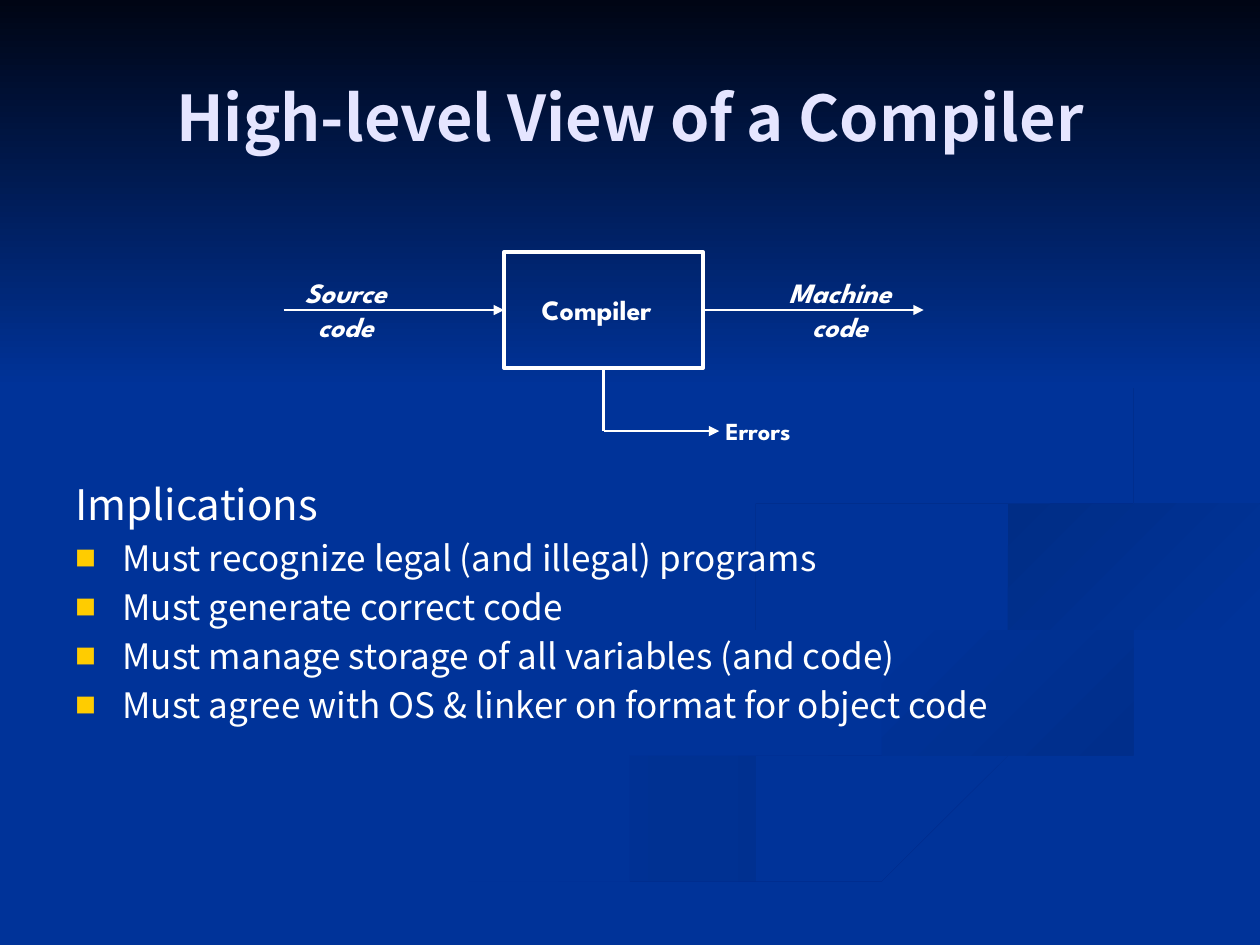
from dataclasses import dataclass

from lxml.etree import SubElement
from pptx import Presentation
from pptx.dml.color import RGBColor
from pptx.dml.fill import FillFormat
from pptx.enum.shapes import MSO_CONNECTOR as Connector, MSO_SHAPE as Shape
from pptx.enum.text import MSO_ANCHOR as Anchor, PP_ALIGN as Align
from pptx.oxml.ns import qn
from pptx.slide import Slide
from pptx.text.text import _Paragraph as Paragraph, TextFrame
from pptx.util import Cm, Pt

COLORS = {
    "page": "003399", "night": "000514", "text": "FFFFFF", "title": "E5E5FF", "bullet": "FFCC00",
    "shade": "002E8B", "deep": "002A7D", "wave": "002D86", "curl": "002B82",
}
BODY_FONT = "Noto Sans CJK KR"
DIAGRAM_FONT = "League Spartan"
GRID = Cm(2.54)
CURVE_STEPS = 5
Point = tuple[float, float]


@dataclass
class Ribbon:
    start: str
    end: str
    angle: int
    edges: list[list[Point]]


@dataclass
class Label:
    lines: list[str]
    left: float
    top: float
    width: float
    height: float
    size: int = 16
    italic: bool = False
    align: Align = Align.LEFT


@dataclass
class Line:
    x1: float
    y1: float
    x2: float
    y2: float
    arrow: bool = True


RIBBONS = [
    Ribbon("page", "shade", 0, [
        [(5.75, 4.59), (5.81, 4.84), (6.79, 5.19), (7.7, 5.51), (7.8, 5.79), (6.84, 6.13),
         (4.99, 6.61), (3, 7.49)],
        [(3.61, 7.49), (4.99, 6.87), (6.76, 6.34), (7.8, 6.05), (8, 5.8), (7.67, 5.47),
         (6.42, 5.07), (5.75, 4.59)]]),
    Ribbon("page", "shade", 45, [
        [(7.24, 4.64), (7.66, 5.12), (8.68, 5.44), (9.18, 5.81), (8.94, 6.05)],
        [(8.94, 6.05), (9.43, 5.7), (8.7, 5.3), (7.45, 4.9), (7.24, 4.64)]]),
    Ribbon("deep", "page", 90, [
        [(9.98, 5.81), (7.64, 6.47), (5.03, 7.49)],
        [(5.71, 7.49), (7.2, 6.82), (9.98, 6.09)]]),
    Ribbon("page", "page", 0, [
        [(9.99, 3.87), (8.3, 4.15), (7.25, 4.64), (7.6, 4.98), (9.05, 5.4), (9.43, 5.7),
         (8.4, 6.18), (6.2, 6.84), (4.77, 7.49)],
        [(5.19, 7.47), (7, 6.69), (9.99, 5.81)],
        [(9.99, 5.38), (8.3, 4.98), (7.82, 4.6), (8.35, 4.3), (9.99, 4.02)]]),
    Ribbon("wave", "page", 45, [
        [(9.98, 4.02), (8.5, 4.27), (7.81, 4.6), (8.26, 4.96)],
        [(8.26, 4.96), (8.05, 4.72), (8.6, 4.43), (9.98, 4.2)]]),
    Ribbon("curl", "page", 45, [
        [(7.62, 2.33), (8.46, 2.79), (8.89, 3.35), (8.2, 3.86), (6.5, 4.2), (5.77, 4.62),
         (6.22, 5)],
        [(6.22, 5), (5.93, 4.7), (6.5, 4.36), (8.25, 4.02), (8.94, 3.44), (8.43, 2.75),
         (7.62, 2.33)]]),
]
LABELS = [
    Label(["Source", "code"], 5.72, 5.44, 2.49, 1.63, italic=True, align=Align.CENTER),
    Label(["Machine", "code"], 15.24, 5.44, 3.38, 1.63, italic=True, align=Align.CENTER),
    Label(["Compiler"], 10.67, 5.77, 3.02, 0.94),
    Label(["Errors"], 14.38, 8.26, 2.18, 0.84, size=14),
]
LINES = [
    Line(5.72, 6.25, 10.16, 6.25),
    Line(14.17, 6.25, 18.62, 6.25),
    Line(12.17, 7.42, 12.17, 8.69, arrow=False),
    Line(12.17, 8.69, 14.5, 8.69),
]
IMPLICATIONS = [
    "Must recognize legal (and illegal) programs",
    "Must generate correct code",
    "Must manage storage of all variables (and code)",
    "Must agree with OS & linker on format for object code",
]


def color(name: str) -> RGBColor:
    return RGBColor.from_string(COLORS[name])


def smooth_edge(knots: list[Point]) -> list[Point]:
    padded = [knots[0], *knots, knots[-1]]
    curve = [knots[0]]
    for before, start, end, after in zip(padded, padded[1:], padded[2:], padded[3:]):
        for step in range(1, CURVE_STEPS + 1):
            t = step / CURVE_STEPS
            x, y = (
                b + t * (c - a) / 2 + t**2 * (a - 2.5 * b + 2 * c - d / 2)
                + t**3 * (3 * b - a - 3 * c + d) / 2
                for a, b, c, d in zip(before, start, end, after))
            curve.append((x, y))
    return curve


def fill_gradient(fill: FillFormat, start: str, end: str, angle: int) -> None:
    fill.gradient()
    fill.gradient_angle = (360 - angle) % 360
    for stop, name in zip(fill.gradient_stops, (start, end)):
        stop.color.rgb = color(name)


def draw_ribbon(page: Slide, ribbon: Ribbon) -> None:
    points = [point for edge in ribbon.edges for point in smooth_edge(edge)]
    builder = page.shapes.build_freeform(*points[0], scale=GRID)
    builder.add_line_segments(points[1:], close=True)
    shape = builder.convert_to_shape()
    shape.shadow.inherit = False
    shape.line.fill.background()
    fill_gradient(shape.fill, ribbon.start, ribbon.end, ribbon.angle)


def draw_sky(page: Slide) -> None:
    sky = page.shapes.add_shape(Shape.RECTANGLE, Cm(0), Cm(0), Cm(25.4), Cm(7.82))
    sky.shadow.inherit = False
    sky.line.fill.background()
    fill_gradient(sky.fill, "night", "page", 90)


def add_frame(page: Slide, left: float, top: float, width: float, height: float) -> TextFrame:
    frame = page.shapes.add_textbox(Cm(left), Cm(top), Cm(width), Cm(height)).text_frame
    frame.word_wrap = True
    return frame


def write(frame: TextFrame, index: int, text: str, size: int, font: str = BODY_FONT,
          tint: str = "text", bold: bool = False, italic: bool = False) -> Paragraph:
    para = frame.add_paragraph() if index else frame.paragraphs[0]
    para.text = text
    para.font.size, para.font.name = Pt(size), font
    para.font.bold, para.font.italic = bold, italic
    para.font.color.rgb = color(tint)
    return para


def draw_label(page: Slide, label: Label) -> None:
    frame = add_frame(page, label.left, label.top, label.width, label.height)
    for index, text in enumerate(label.lines):
        para = write(frame, index, text, label.size, DIAGRAM_FONT, bold=True, italic=label.italic)
        para.alignment = label.align


def draw_line(page: Slide, line: Line) -> None:
    connector = page.shapes.add_connector(
        Connector.STRAIGHT, Cm(line.x1), Cm(line.y1), Cm(line.x2), Cm(line.y2))
    connector.line.color.rgb = color("text")
    connector.line.width = Pt(1.5)
    if line.arrow:
        SubElement(connector.line._get_or_add_ln(), qn("a:tailEnd"), type="triangle")
    SubElement(connector._element.spPr, qn("a:effectLst"))


def add_bullet(para: Paragraph) -> None:
    properties = para._p.get_or_add_pPr()
    properties.set("marL", str(Cm(0.95)))
    properties.set("indent", str(-Cm(0.95)))
    tint = SubElement(properties, qn("a:buClr"))
    SubElement(tint, qn("a:srgbClr"), val=COLORS["bullet"])
    SubElement(properties, qn("a:buSzPct"), val="60000")
    SubElement(properties, qn("a:buFont"), typeface=BODY_FONT)
    SubElement(properties, qn("a:buChar"), char="■")
    properties.append(properties.find(qn("a:defRPr")))


def draw_body(page: Slide) -> None:
    frame = add_frame(page, 1.27, 4.45, 22.86, 12.57)
    write(frame, 0, "Implications", 24).line_spacing = 6.0
    for index, text in enumerate(IMPLICATIONS, 1):
        para = write(frame, index, text, 20)
        para.space_before = Pt(4)
        add_bullet(para)


def draw_title(page: Slide) -> None:
    frame = add_frame(page, 1.27, 0.76, 22.86, 3.18)
    frame.vertical_anchor = Anchor.MIDDLE
    para = write(frame, 0, "High-level View of a Compiler", 36, tint="title", bold=True)
    para.alignment = Align.CENTER


def draw_compiler_box(page: Slide) -> None:
    box = page.shapes.add_shape(Shape.RECTANGLE, Cm(10.16), Cm(5.08), Cm(4.01), Cm(2.34))
    box.shadow.inherit = False
    box.fill.background()
    box.line.color.rgb = color("text")
    box.line.width = Pt(2.25)


def main() -> None:
    deck = Presentation()
    deck.slide_width, deck.slide_height = Cm(25.4), Cm(19.05)
    page = deck.slides.add_slide(deck.slide_layouts[6])
    page.background.fill.solid()
    page.background.fill.fore_color.rgb = color("page")
    for ribbon in RIBBONS:
        draw_ribbon(page, ribbon)
    draw_sky(page)
    draw_body(page)
    draw_title(page)
    draw_compiler_box(page)
    for line in LINES:
        draw_line(page, line)
    for label in LABELS:
        draw_label(page, label)
    deck.save("out.pptx")


if __name__ == "__main__":
    main()
